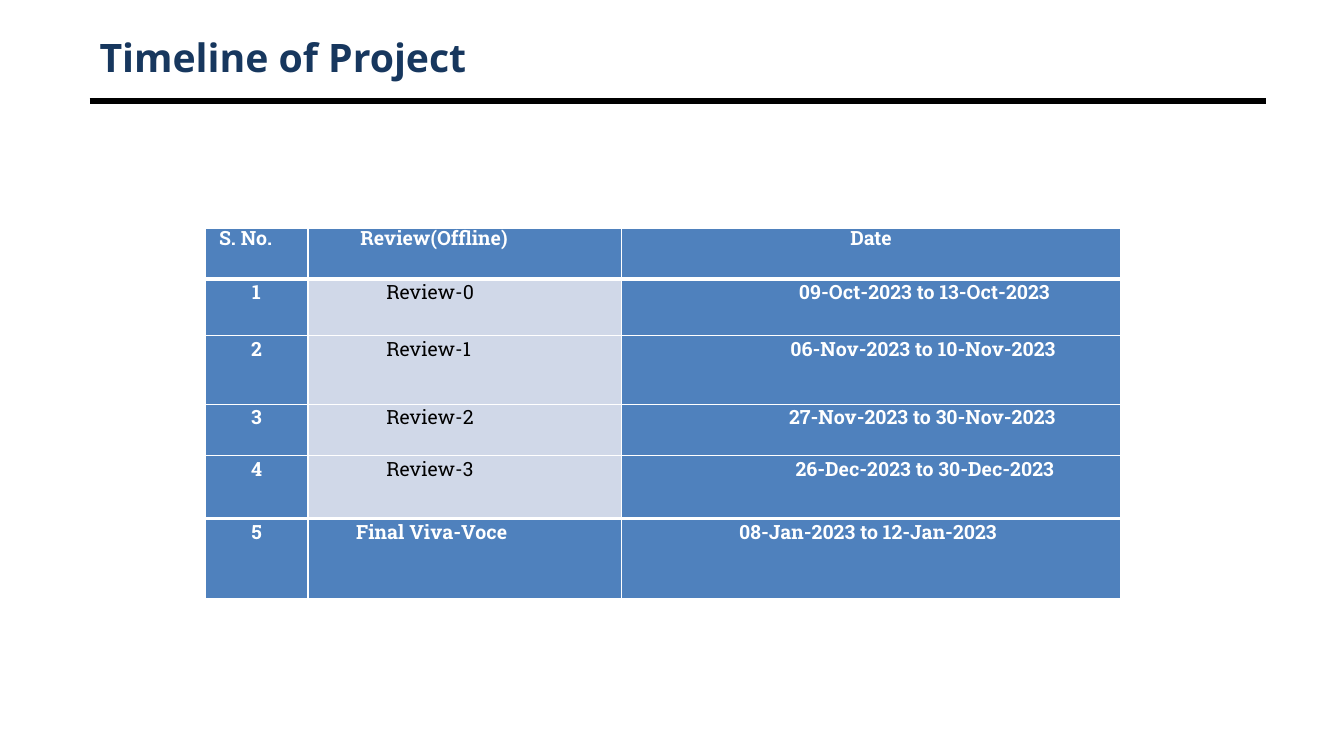
import pptx
import pptx.util
import pptx.dml.color
import pptx.enum.shapes
import pptx.enum.text
import pptx.oxml.ns
from lxml import etree

Pt = pptx.util.Pt
ALIGN = pptx.enum.text.PP_ALIGN
WHITE, BLACK, NAVY, BLUE, PALE = "FFFFFF", "000000", "17375E", "4F81BD", "D0D8E8"
HEADS = ["S. No.", "Review(Offline)", "Date"]
REVIEWS = [
    ("Review-0", "09-Oct-2023 to 13-Oct-2023"),
    ("Review-1", "06-Nov-2023 to 10-Nov-2023"),
    ("Review-2", "27-Nov-2023 to 30-Nov-2023"),
    ("Review-3", "26-Dec-2023 to 30-Dec-2023"),
    ("Final Viva-Voce", "08-Jan-2023 to 12-Jan-2023"),
]
WIDTHS = [73.5, 224, 356.5]
HEIGHTS = [36, 40.3, 49, 36.5, 45.2, 57.5]
SPACES = [0, 4, 6.3, 2.6, 5.2, 9]
ENDS = [50.5, 46.5, 46.5, 47.5]


def color(code):
    """Turn a hex string into a colour."""
    return pptx.dml.color.RGBColor.from_string(code)


def style(para, face, size, code, bold=True):
    """Set the font of a paragraph."""
    font = para.font
    font.name, font.size, font.bold = face, Pt(size), bold
    font.color.rgb = color(code)


def add_title(slide, text):
    """Add the slide title."""
    box = slide.shapes.add_textbox(Pt(64), Pt(21.5), Pt(840), Pt(38))
    frame = box.text_frame
    frame.word_wrap = True
    frame.vertical_anchor = pptx.enum.text.MSO_ANCHOR.MIDDLE
    frame.text = text
    style(frame.paragraphs[0], "Open Sans", 28, NAVY)


def add_rule(slide):
    """Add the thick rule under the title."""
    kind = pptx.enum.shapes.MSO_CONNECTOR.STRAIGHT
    rule = slide.shapes.add_connector(kind, Pt(64), Pt(72), Pt(904), Pt(72))
    rule.line.color.rgb = color(BLACK)
    rule.line.width = Pt(4.5)
    etree.SubElement(rule._element.spPr, pptx.oxml.ns.qn("a:effectLst"))


def set_edges(cell, top, bottom):
    """Draw white borders round a cell."""
    props = cell._tc.get_or_add_tcPr()
    sides = [("lnL", 1), ("lnR", 1), ("lnT", top), ("lnB", bottom)]
    for place, (side, width) in enumerate(sides):
        edge = etree.Element(pptx.oxml.ns.qn("a:" + side), w=str(Pt(width)))
        fill = etree.SubElement(edge, pptx.oxml.ns.qn("a:solidFill"))
        etree.SubElement(fill, pptx.oxml.ns.qn("a:srgbClr"), val=WHITE)
        props.insert(place, edge)


def fill_cell(cell, text, align=ALIGN.LEFT, left=0, right=0, space=0, pale=False):
    """Write and colour one cell."""
    cell.margin_left, cell.margin_right = Pt(left), Pt(right)
    cell.margin_top = cell.margin_bottom = Pt(0)
    cell.text = text
    para = cell.text_frame.paragraphs[0]
    para.alignment = align
    para.space_before = Pt(space)
    style(para, "Roboto Slab", 14, BLACK if pale else WHITE, not pale)
    cell.fill.solid()
    cell.fill.fore_color.rgb = color(PALE if pale else BLUE)


def add_dates(slide):
    """Add the table of reviews and dates."""
    count, last = len(HEIGHTS), len(REVIEWS)
    frame = slide.shapes.add_table(
        count, len(WIDTHS), Pt(146.5), Pt(163.5), Pt(sum(WIDTHS)), Pt(sum(HEIGHTS)))
    table = frame.table
    for column, width in zip(table.columns, WIDTHS):
        column.width = Pt(width)
    for row, height in zip(table.rows, HEIGHTS):
        row.height = Pt(height)

    fill_cell(table.cell(0, 0), HEADS[0], left=10)
    fill_cell(table.cell(0, 1), HEADS[1], left=37.5)
    fill_cell(table.cell(0, 2), HEADS[2], ALIGN.CENTER)
    for cell in table.rows[0].cells:
        cell.text_frame.paragraphs[0].line_spacing = Pt(15.8)

    for row, (name, dates) in enumerate(REVIEWS, 1):
        final, space = row == last, SPACES[row]
        fill_cell(table.cell(row, 0), str(row), ALIGN.CENTER, space=space)
        fill_cell(table.cell(row, 1), name, left=34.5 if final else 56,
                  space=space, pale=not final)
        if final:
            fill_cell(table.cell(row, 2), dates, left=84, space=space)
        else:
            fill_cell(table.cell(row, 2), dates, ALIGN.RIGHT,
                      right=ENDS[row - 1], space=space)

    for row in range(count):
        for cell in table.rows[row].cells:
            set_edges(cell, 3 if row in (1, last) else 1,
                      3 if row in (0, last - 1) else 1)


def main():
    """Build and save the slide."""
    deck = pptx.Presentation()
    deck.slide_width, deck.slide_height = Pt(960), Pt(540)
    slide = deck.slides.add_slide(deck.slide_layouts[6])
    add_rule(slide)
    add_title(slide, "Timeline of Project")
    add_dates(slide)
    deck.save("out.pptx")


if __name__ == "__main__":
    main()
